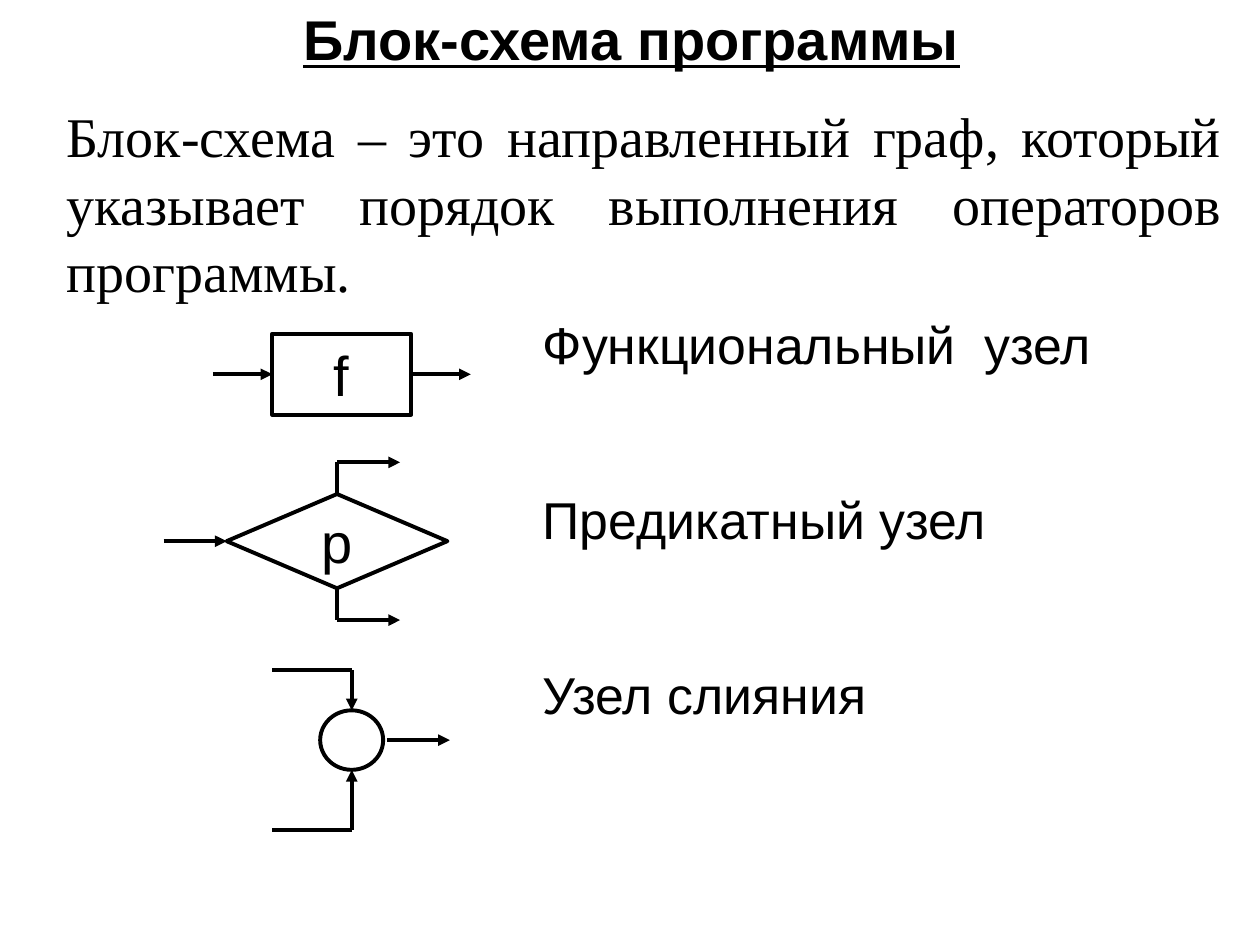
from lxml import etree
from pptx import Presentation
from pptx.dml.color import RGBColor
from pptx.enum.shapes import MSO_CONNECTOR, MSO_SHAPE
from pptx.enum.text import MSO_ANCHOR, PP_ALIGN
from pptx.oxml.ns import qn
from pptx.util import Cm, Pt

BLACK = RGBColor(0, 0, 0)
WHITE = RGBColor(255, 255, 255)
LINE_WIDTH = Pt(2.25)


def add_run(p, text, size, font="Arial"):
    r = p.add_run()
    r.text = text
    r.font.size = Pt(size)
    r.font.name = font
    r.font.color.rgb = BLACK
    return r


def add_text_frame(slide, x, y, w, h):
    tf = slide.shapes.add_textbox(Cm(x), Cm(y), Cm(w), Cm(h)).text_frame
    tf.word_wrap = True
    return tf


def add_line(shapes, x1, y1, x2, y2, arrow=False):
    line = shapes.add_connector(MSO_CONNECTOR.STRAIGHT, Cm(x1), Cm(y1), Cm(x2), Cm(y2))
    line.line.color.rgb = BLACK
    line.line.width = LINE_WIDTH
    if arrow:
        etree.SubElement(line.line._get_or_add_ln(), qn("a:tailEnd"), type="triangle")
    etree.SubElement(line._element.spPr, qn("a:effectLst"))


def add_node(shapes, kind, x, y, w, h, text=""):
    sp = shapes.add_shape(kind, Cm(x), Cm(y), Cm(w), Cm(h))
    sp.shadow.inherit = False
    sp.fill.solid()
    sp.fill.fore_color.rgb = WHITE
    sp.line.color.rgb = BLACK
    sp.line.width = LINE_WIDTH
    if text:
        tf = sp.text_frame
        tf.vertical_anchor = MSO_ANCHOR.MIDDLE
        p = tf.paragraphs[0]
        p.alignment = PP_ALIGN.CENTER
        add_run(p, text, 32)


def add_title(slide, x, y, w, h):
    tf = add_text_frame(slide, x, y, w, h)
    tf.vertical_anchor = MSO_ANCHOR.MIDDLE
    p = tf.paragraphs[0]
    p.alignment = PP_ALIGN.CENTER
    r = add_run(p, "Блок-схема программы", 32)
    r.font.bold = True
    r.font.underline = True


def add_definition(slide, x, y, w, h):
    p = add_text_frame(slide, x, y, w, h).paragraphs[0]
    p.alignment = PP_ALIGN.JUSTIFY
    add_run(p, "Блок-схема – это направленный граф, который указывает "
               "порядок выполнения операторов программы.", 32, "Times New Roman")


def add_labels(slide, x, y, w, h):
    """Names of the three nodes, spaced to stand beside them."""
    tf = add_text_frame(slide, x, y, w, h)
    for i, label in enumerate(("Функциональный  узел", "Предикатный узел", "Узел слияния")):
        p = tf.add_paragraph() if i else tf.paragraphs[0]
        p._p.get_or_add_pPr().set("marL", str(Cm(9.8)))
        p.line_spacing = 0.7
        if i:
            p.space_before = Pt(75)
        add_run(p, label, 29.6)


def add_function_node(slide, x, y, w, h):
    shapes = slide.shapes.add_group_shape().shapes
    arrow = 1.2
    mid = y + h / 2
    add_node(shapes, MSO_SHAPE.RECTANGLE, x + arrow, y, w - 2 * arrow, h, "f")
    for start in (x, x + w - arrow):
        add_line(shapes, start, mid, start + arrow, mid, arrow=True)


def add_predicate_node(slide, x, y, w, h):
    shapes = slide.shapes.add_group_shape().shapes
    arrow, stem = 1.27, 0.64
    left, mid = x + arrow, y + h / 2
    centre = (left + x + w) / 2
    add_node(shapes, MSO_SHAPE.FLOWCHART_DECISION, left, y + stem,
             w - arrow, h - 2 * stem, "р")
    add_line(shapes, x, mid, left, mid, arrow=True)
    for tip, end in ((y + stem, y), (y + h - stem, y + h)):
        add_line(shapes, centre, tip, centre, end)
        add_line(shapes, centre, end, centre + arrow, end, arrow=True)


def add_merge_node(slide, x, y, w, h):
    shapes = slide.shapes.add_group_shape().shapes
    centre, top, cw, ch, arrow = x + 1.6, y + 0.81, 1.27, 1.2, 1.27
    mid = top + ch / 2
    add_node(shapes, MSO_SHAPE.OVAL, centre - cw / 2, top, cw, ch)
    for start, end in ((y, top), (y + h, top + ch)):
        add_line(shapes, x, start, centre, start)
        add_line(shapes, centre, start, centre, end, arrow=True)
    add_line(shapes, x + w - arrow, mid, x + w, mid, arrow=True)


def main():
    prs = Presentation()
    prs.slide_width, prs.slide_height = Cm(25.4), Cm(19.05)
    slide = prs.slides.add_slide(prs.slide_layouts[6])
    add_merge_node(slide, 5.49, 13.51, 3.58, 3.23)
    add_predicate_node(slide, 3.3, 9.32, 5.72, 3.18)
    add_title(slide, 1.3, 0, 22.86, 1.55)
    add_labels(slide, 0.89, 6.53, 23.6, 10.97)
    add_function_node(slide, 4.29, 6.73, 5.2, 1.63)
    add_definition(slide, 1.09, 1.93, 23.8, 4.32)
    prs.save("out.pptx")


if __name__ == "__main__":
    main()
